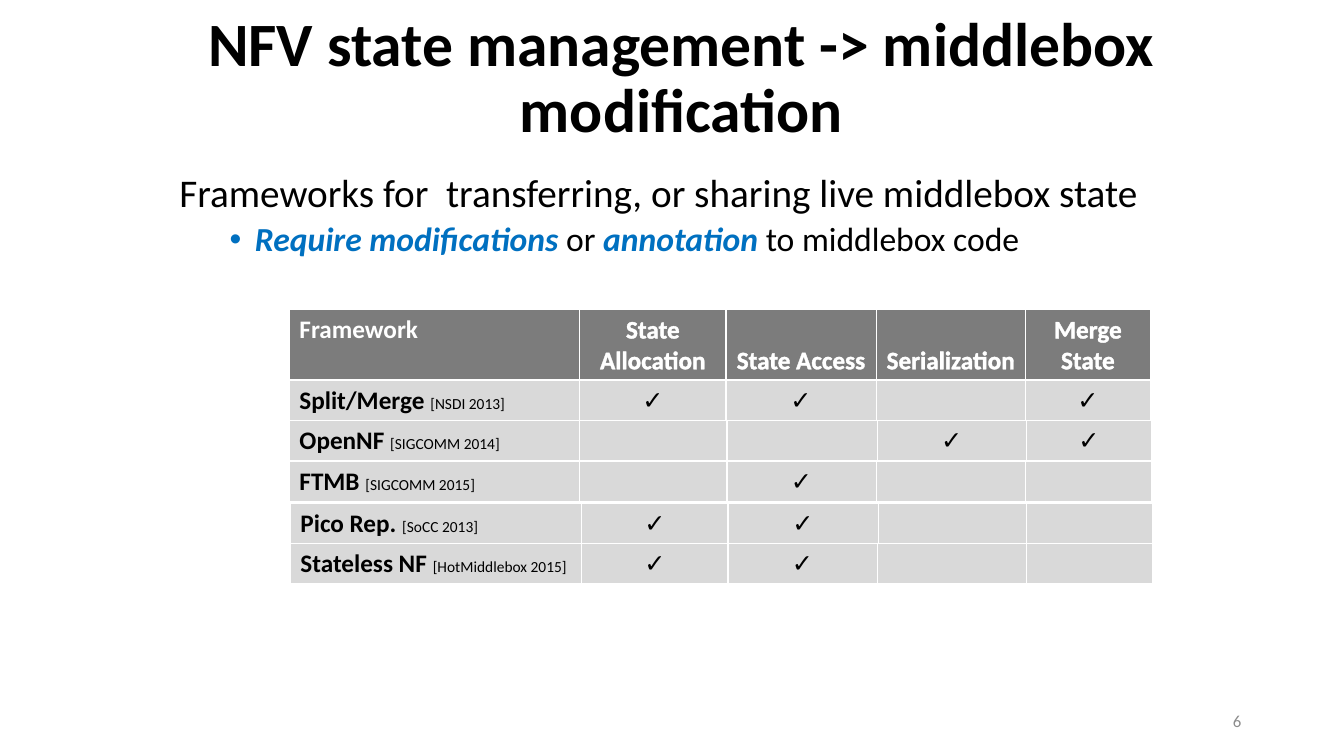
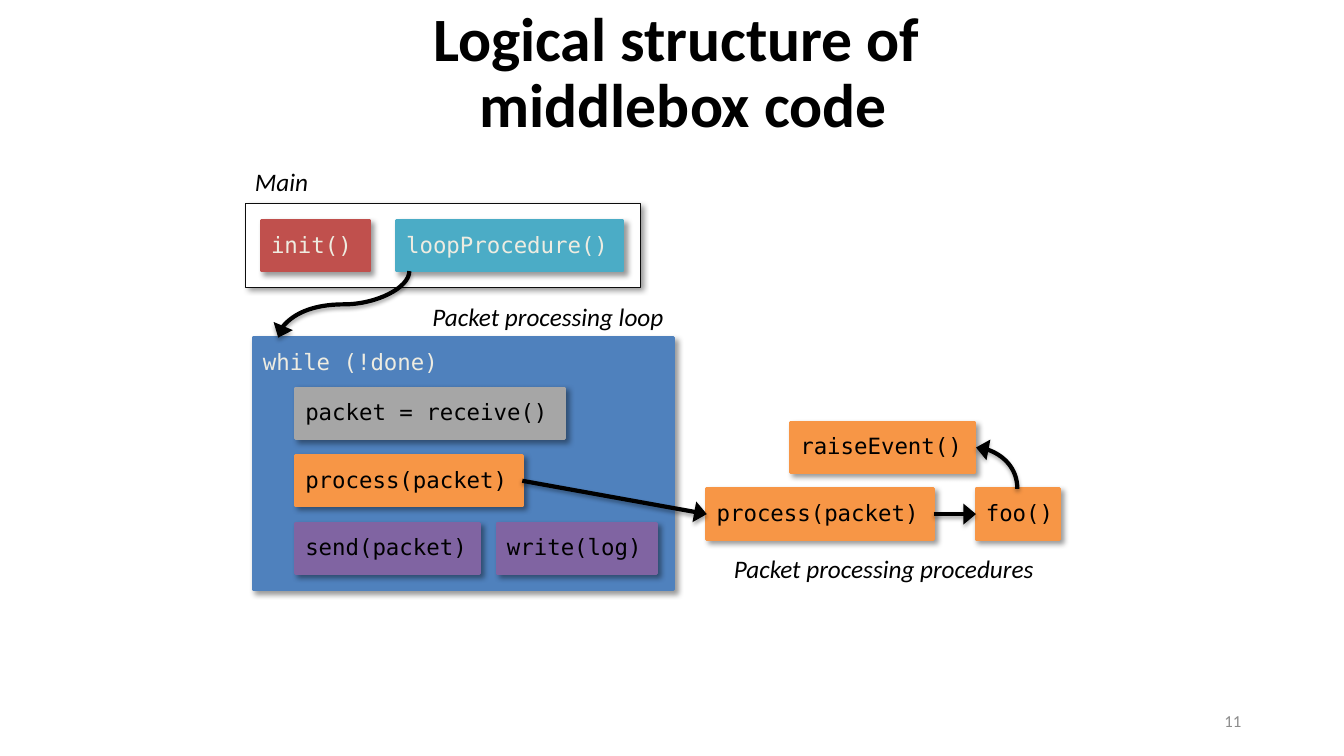
from dataclasses import dataclass
from typing import Any, NamedTuple

import lxml.etree
import pptx
import pptx.dml.color
import pptx.enum.shapes
import pptx.enum.text
import pptx.oxml.ns
import pptx.util

Inches = pptx.util.Inches
Pt = pptx.util.Pt
ALIGN = pptx.enum.text.PP_ALIGN
ANCHOR = pptx.enum.text.MSO_ANCHOR
LINK = pptx.enum.shapes.MSO_CONNECTOR


@dataclass(frozen=True)
class Theme:
    font: str = "Calibri"
    mono: str = "DejaVu Sans Mono"
    black: str = "000000"
    white: str = "FFFFFF"
    cream: str = "EEECE1"
    edge: str = "0D0D0D"
    muted: str = "8C8C8C"
    accent: str = "0070C0"
    head: str = "7C7C7C"
    cell: str = "D9D9D9"
    blue: str = "4F81BD"
    gray: str = "A6A6A6"
    purple: str = "8064A2"
    orange: str = "F79646"
    teal: str = "4BACC6"
    red: str = "C0504D"
    title: int = 44
    lead: int = 28
    point: int = 24
    label: int = 18
    code: int = 16
    foot: int = 12
    cite: int = 11


THEME = Theme()


class Area(NamedTuple):
    left: float
    top: float
    width: float
    height: float


class Style(NamedTuple):
    size: float
    color: str = THEME.black
    bold: bool = False
    slant: bool = False
    font: str = THEME.font


class Box(NamedTuple):
    text: str
    area: Area
    fill: str
    ink: str = THEME.black
    edge: str = ""
    line: float = 2


class Row(NamedTuple):
    name: str
    venue: str
    marks: str
    left: float
    top: float
    widths: tuple[float, ...]


STRONG = Style(THEME.label, bold=True)


def color(code: str) -> pptx.dml.color.RGBColor:
    return pptx.dml.color.RGBColor.from_string(code)


def child(node: Any, tag: str, **attrs: Any) -> Any:
    made = lxml.etree.SubElement(node, pptx.oxml.ns.qn("a:" + tag))
    for key, value in attrs.items():
        made.set(key, str(value))
    return made


def format_run(run: Any, style: Style) -> None:
    font = run.font
    font.name, font.size = style.font, Pt(style.size)
    font.bold, font.italic = style.bold, style.slant
    font.color.rgb = color(style.color)


def write(para: Any, text: str, style: Style, align: Any = ALIGN.LEFT) -> None:
    para.text = text
    para.alignment = align
    for run in para.runs:
        format_run(run, style)


def add_runs(para: Any, parts: list[tuple[str, Style]]) -> None:
    for text, style in parts:
        run = para.add_run()
        run.text = text
        format_run(run, style)


def add_text(slide: Any, area: Area, text: str, style: Style,
             align: Any = ALIGN.LEFT, anchor: Any = ANCHOR.TOP) -> Any:
    frame = slide.shapes.add_textbox(*map(Inches, area)).text_frame
    frame.word_wrap = True
    frame.vertical_anchor = anchor
    write(frame.paragraphs[0], text, style, align)
    return frame


def add_page(deck: Any, title: str, spot: Area, number: int) -> Any:
    slide = deck.slides.add_slide(deck.slide_layouts[6])
    big = Style(THEME.title, bold=True)
    frame = add_text(slide, spot, title, big, ALIGN.CENTER, ANCHOR.MIDDLE)
    frame.paragraphs[0].line_spacing = 0.9
    add_text(slide, Area(9.41, 6.95, 3, 0.4), str(number),
             Style(THEME.foot, THEME.muted), ALIGN.RIGHT, ANCHOR.MIDDLE)
    return slide


def add_shade(shape: Any, alpha: int, blur: float, dist: float, angle: int) -> None:
    cast = child(child(shape._element.spPr, "effectLst"), "outerShdw", blurRad=Pt(blur),
                 dist=Pt(dist), dir=angle * 60000, algn="tl", rotWithShape=0)
    child(child(cast, "srgbClr", val=THEME.black), "alpha", val=alpha * 1000)


def add_box(slide: Any, box: Box) -> Any:
    kind = pptx.enum.shapes.MSO_SHAPE.RECTANGLE
    shape = slide.shapes.add_shape(kind, *map(Inches, box.area))
    shape.fill.solid()
    shape.fill.fore_color.rgb = color(box.fill)
    shape.line.color.rgb = color(box.edge or box.fill)
    shape.line.width = Pt(box.line)
    add_shade(shape, 40, 4, 3, 45)
    if box.text:
        frame = shape.text_frame
        frame.word_wrap = True
        frame.vertical_anchor = ANCHOR.TOP
        frame.margin_left = frame.margin_top = frame.margin_bottom = Inches(0.1)
        frame.margin_right = Inches(0.05)
        write(frame.paragraphs[0], box.text, Style(THEME.code, box.ink, font=THEME.mono))
    return shape


def style_arrow(line: Any) -> None:
    line.line.color.rgb = color(THEME.black)
    line.line.width = Pt(3)
    child(line.line._get_or_add_ln(), "tailEnd", type="triangle", w="lg", len="med")
    add_shade(line, 35, 3.1, 1.8, 90)


def join(slide: Any, start: Any, end: Any) -> None:
    line = slide.shapes.add_connector(LINK.STRAIGHT, 0, 0, 0, 0)
    line.begin_connect(start, 3)
    line.end_connect(end, 1)
    style_arrow(line)


def add_curve(slide: Any, start: tuple[float, float], end: tuple[float, float],
              turn: int, preset: str) -> None:
    mid_x, mid_y = (start[0] + end[0]) / 2, (start[1] + end[1]) / 2
    sign = 1 if turn == 90 else -1
    half_x, half_y = sign * (start[1] - mid_y), sign * (mid_x - start[0])
    ends = (mid_x + half_x, mid_y + half_y, mid_x - half_x, mid_y - half_y)
    line = slide.shapes.add_connector(LINK.CURVE, *map(Inches, ends))
    props = line._element.spPr
    props.find(pptx.oxml.ns.qn("a:xfrm")).set("rot", str(turn * 60000))
    props.find(pptx.oxml.ns.qn("a:prstGeom")).set("prst", preset)
    style_arrow(line)


def paint_cell(cell: Any, fill: str) -> Any:
    props = cell._tc.get_or_add_tcPr()
    for side in ("lnL", "lnR", "lnT", "lnB"):
        edge = child(props, side, w=Pt(1))
        child(child(edge, "solidFill"), "srgbClr", val=THEME.white)
    cell.fill.solid()
    cell.fill.fore_color.rgb = color(fill)
    return cell.text_frame.paragraphs[0]


def fill_heads(table: Any, heads: list[str]) -> None:
    for col, text in enumerate(heads):
        cell = table.cell(0, col)
        para = paint_cell(cell, THEME.head)
        write(para, text, Style(THEME.label, THEME.white, True),
              ALIGN.CENTER if col else ALIGN.LEFT)
        if col:
            cell.vertical_anchor = ANCHOR.BOTTOM
            cell.margin_bottom = Inches(0.04)
            props = para.runs[0].font._element
            edge = child(props, "ln", w=Pt(0.75))
            child(child(edge, "solidFill"), "srgbClr", val=THEME.white)
            props.insert(0, edge)


def add_grid(slide: Any, row: Row, heads: list[str]) -> None:
    high = [0.7, 0.4] if heads else [0.4]
    area = (row.left, row.top, sum(row.widths), sum(high))
    table = slide.shapes.add_table(len(high), len(row.widths), *map(Inches, area)).table
    table.horz_banding = False
    table.first_row = bool(heads)
    for col, width in zip(table.columns, row.widths):
        col.width = Inches(width)
    for line, height in zip(table.rows, high):
        line.height = Inches(height)
    fill_heads(table, heads)
    first, *rest = table.rows[len(high) - 1].cells
    add_runs(paint_cell(first, THEME.cell),
             [(row.name + " ", STRONG), (f"[{row.venue}]", Style(THEME.cite))])
    for cell, mark in zip(rest, row.marks):
        para = paint_cell(cell, THEME.cell)
        if mark == "x":
            write(para, "✓", STRONG, ALIGN.CENTER)


def build_state(deck: Any) -> None:
    slide = add_page(deck, "NFV state management -> middlebox modification",
                     Area(1.01, 0.05, 11.5, 1.48), 6)
    frame = add_text(slide, Area(1.68, 1.67, 11.09, 4.76),
                     "Frameworks for  transferring, or sharing live middlebox state",
                     Style(THEME.lead))
    point = frame.add_paragraph()
    plain, vivid = Style(THEME.point), Style(THEME.point, THEME.accent, True, True)
    add_runs(point, [("Require modifications", vivid), (" or ", plain),
                     ("annotation", vivid), (" to middlebox code", plain)])
    for para, space in zip(frame.paragraphs, (10, 5)):
        para.line_spacing = 0.9
        para.space_before = Pt(space)
    props = point._p.get_or_add_pPr()
    props.set("marL", str(Inches(0.75)))
    props.set("indent", str(Inches(-0.25)))
    child(props, "buFont", typeface="Arial")
    child(props, "buChar", char="•")
    heads = ["Framework", "State Allocation", "State Access", "Serialization", "Merge State"]
    for row in (
            Row("Split/Merge", "NSDI 2013", "xx-x", 2.87, 3.07, (2.88, 1.45, 1.49, 1.48, 1.24)),
            Row("OpenNF", "SIGCOMM 2014", "--xx", 2.87, 4.17, (2.88, 1.46, 1.49, 1.48, 1.24)),
            Row("FTMB", "SIGCOMM 2015", "-x--", 2.87, 4.58, (2.88, 1.46, 1.48, 1.48, 1.25)),
            Row("Pico Rep.", "SoCC 2013", "xx--", 2.88, 4.99, (2.89, 1.45, 1.49, 1.47, 1.25)),
            Row("Stateless NF", "HotMiddlebox 2015", "xx--", 2.88, 5.39,
                (2.89, 1.45, 1.48, 1.48, 1.25))):
        add_grid(slide, row, heads)
        heads = []


def build_code(deck: Any) -> None:
    slide = add_page(deck, "Logical structure of \nmiddlebox code", Area(1.03, 0, 11.5, 1.48), 11)
    high, left, call = 0.5, 2.93, "process(packet)"
    tops = [3.85 + 0.67 * step for step in range(3)]
    for box in (
            Box("", Area(2.43, 2.02, 3.92, 0.83), THEME.white, edge=THEME.edge, line=0.25),
            Box("init()", Area(2.59, 2.19, 1.08, high), THEME.red, THEME.cream),
            Box("loopProcedure()", Area(3.93, 2.19, 2.25, high), THEME.teal, THEME.cream),
            Box("while (!done)", Area(2.51, 3.35, 4.17, 2.5), THEME.blue, THEME.cream),
            Box("packet = receive()", Area(left, tops[0], 2.67, high), THEME.gray),
            Box("send(packet)", Area(left, tops[2], 1.83, high), THEME.purple),
            Box("write(log)", Area(4.93, tops[2], 1.58, high), THEME.purple),
            Box("raiseEvent()", Area(7.84, 4.19, 1.83, high), THEME.orange)):
        add_box(slide, box)
    inner = add_box(slide, Box(call, Area(left, tops[1], 2.25, high), THEME.orange))
    outer = add_box(slide, Box(call, Area(7.01, 4.85, 2.25, high), THEME.orange))
    foo = add_box(slide, Box("foo()", Area(9.68, 4.85, 0.83, high), THEME.orange))
    join(slide, inner, outer)
    join(slide, outer, foo)
    add_curve(slide, (4.06, 2.69), (2.76, 3.35), 90, "curvedConnector3")
    add_curve(slide, (10.09, 4.85), (9.68, 4.44), 270, "curvedConnector2")
    for text, area, align in (
            ("Main", Area(2.43, 1.6, 2.67, 0.4), ALIGN.LEFT),
            ("Packet processing loop", Area(2.51, 2.94, 4.17, 0.42), ALIGN.RIGHT),
            ("Packet processing procedures", Area(6.93, 5.44, 3.67, 0.4), ALIGN.CENTER)):
        add_text(slide, area, text, Style(THEME.label, slant=True), align)


def main() -> None:
    deck = pptx.Presentation()
    deck.slide_width, deck.slide_height = Inches(13.33), Inches(7.5)
    build_state(deck)
    build_code(deck)
    deck.save("out.pptx")


if __name__ == "__main__":
    main()
